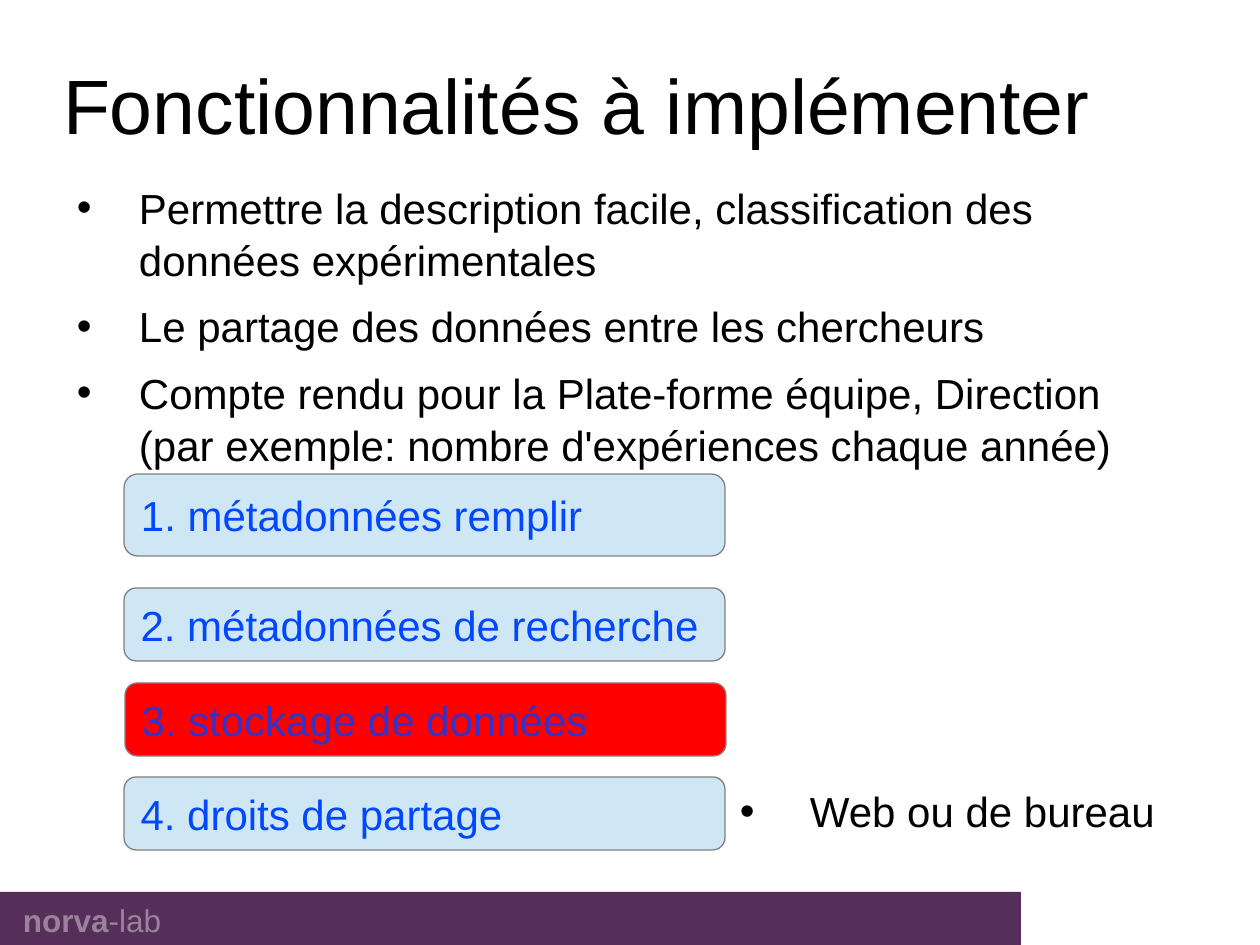
from lxml import etree
from pptx import Presentation
from pptx.dml.color import RGBColor
from pptx.enum.shapes import MSO_SHAPE
from pptx.enum.text import MSO_ANCHOR, PP_ALIGN
from pptx.oxml.ns import qn
from pptx.util import Pt

PX = 914400 // 126
BLACK = RGBColor(0, 0, 0)
PLUM = RGBColor(0x56, 0x2E, 0x5A)
MAUVE = RGBColor(0x9A, 0x82, 0x9C)
SKY = RGBColor(0xCF, 0xE7, 0xF5)
GRAY = RGBColor(0x80, 0x80, 0x80)
BLUE = RGBColor(0x00, 0x47, 0xFF)
RED = RGBColor(0xFF, 0, 0)
NAVY = RGBColor(0x33, 0x33, 0xCC)

GOALS = [
    "Permettre la description facile, classification des données expérimentales",
    "Le partage des données entre les chercheurs",
    "Compte rendu pour la Plate-forme équipe, Direction "
    "(par exemple: nombre d'expériences chaque année)",
]
STEPS = [
    ("1. métadonnées remplir", 124, 474, 82, SKY, BLUE),
    ("2. métadonnées de recherche", 124, 588, 73, SKY, BLUE),
    ("3. stockage de données", 125, 683, 73, RED, NAVY),
    ("4. droits de partage", 124, 777, 73, SKY, BLUE),
]


def place(shape, x, y, w, h):
    shape.left, shape.top, shape.width, shape.height = (v * PX for v in (x, y, w, h))


def style(para, size, color):
    para.alignment = PP_ALIGN.LEFT
    font = para.font
    font.name, font.size = "Arial", Pt(size)
    font.color.rgb = color


def inset(frame, side, top):
    frame.word_wrap = True
    frame.margin_left = frame.margin_right = side * PX
    frame.margin_top = frame.margin_bottom = top * PX


def bullet(para, text, left):
    para.text = text
    style(para, 24, BLACK)
    para.space_before = Pt(8)
    para.line_spacing = 1.04
    props = para._p.get_or_add_pPr()
    props.set("marL", str(left * PX))
    props.set("indent", str((1 - left) * PX))
    etree.SubElement(props, qn("a:buFont")).set("typeface", "Arial")
    etree.SubElement(props, qn("a:buChar")).set("char", "•")


def bullets(shape, items, left):
    frame = shape.text_frame
    inset(frame, 13, 10)
    frame.vertical_anchor = MSO_ANCHOR.TOP
    for i, text in enumerate(items):
        para = frame.add_paragraph() if i else frame.paragraphs[0]
        bullet(para, text, left)


def title(shape, text):
    place(shape, 63, 38, 1134, 131)
    frame = shape.text_frame
    inset(frame, 0, 0)
    frame.vertical_anchor = MSO_ANCHOR.MIDDLE
    frame.text = text
    style(frame.paragraphs[0], 44, BLACK)


def block(slide, kind, x, y, w, h, fill):
    shape = slide.shapes.add_shape(kind, *(v * PX for v in (x, y, w, h)))
    shape.shadow.inherit = False
    shape.fill.solid()
    shape.fill.fore_color.rgb = fill
    shape.line.fill.background()
    return shape


def step(slide, text, x, y, h, fill, color):
    shape = block(slide, MSO_SHAPE.ROUNDED_RECTANGLE, x, y, 601, h, fill)
    shape.line.color.rgb = GRAY
    shape.line.width = Pt(0.75)
    frame = shape.text_frame
    inset(frame, 13, 6)
    frame.vertical_anchor = MSO_ANCHOR.MIDDLE
    frame.text = text
    style(frame.paragraphs[0], 24, color)


def footer(slide):
    block(slide, MSO_SHAPE.RECTANGLE, 0, 892, 1021, 54, PLUM)
    box = slide.shapes.add_textbox(10 * PX, 895 * PX, 267 * PX, 50 * PX)
    inset(box.text_frame, 13, 6)
    para = box.text_frame.paragraphs[0]
    style(para, 18, MAUVE)
    for text, bold in (("norva", True), ("-lab", False)):
        run = para.add_run()
        run.text = text
        run.font.bold = bold


def main():
    deck = Presentation()
    deck.slide_width, deck.slide_height = 1260 * PX, 945 * PX
    slide = deck.slides.add_slide(deck.slide_layouts[1])
    footer(slide)
    title(slide.shapes.title, "Fonctionnalités à implémenter")
    body = slide.placeholders[1]
    place(body, 63, 170, 1081, 292)
    bullets(body, GOALS, 63)
    for item in STEPS:
        step(slide, *item)
    note = slide.shapes.add_textbox(726 * PX, 774 * PX, 451 * PX, 127 * PX)
    bullets(note, ["Web ou de bureau"], 71)
    deck.save("out.pptx")


if __name__ == "__main__":
    main()
